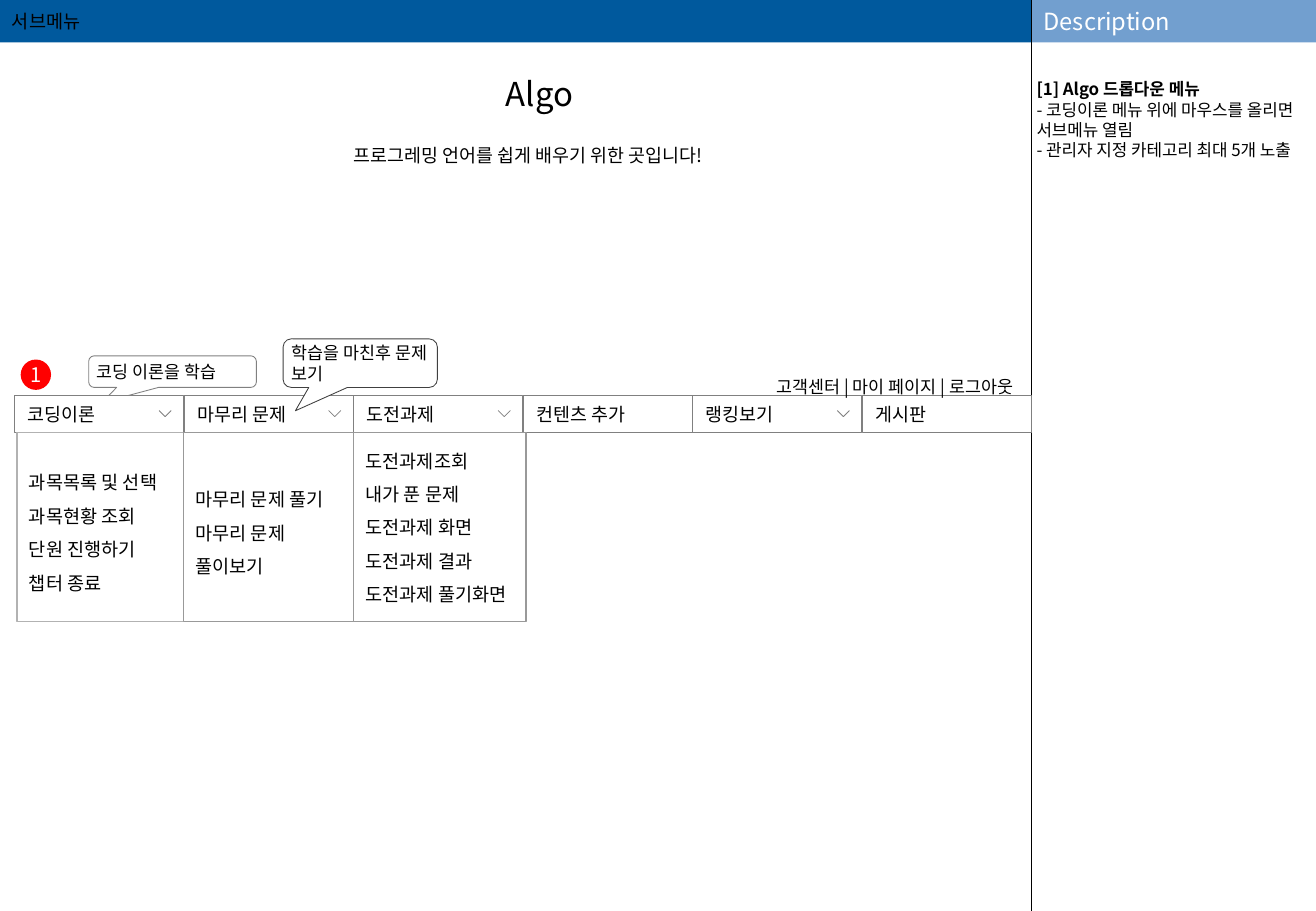
"""Build the submenu screen plan with its description panel."""
import pptx
import pptx.dml.color
import pptx.enum.shapes
import pptx.enum.text
import pptx.oxml.ns
import pptx.util
from lxml import etree

Inches = pptx.util.Inches
Kind = pptx.enum.shapes.MSO_SHAPE
Align = pptx.enum.text.PP_ALIGN
Anchor = pptx.enum.text.MSO_ANCHOR
FONT = "Noto Sans CJK KR"


def color(code):
    return pptx.dml.color.RGBColor.from_string(code)


def box(area, lines, size, kind=Kind.RECTANGLE, fill=None, line=None, width=0.5,
        ins=(0.1, 0.05, 0.1, 0.05), anchor=Anchor.MIDDLE, align=Align.LEFT,
        space=1.0, ink="000000", bold=()):
    place = [Inches(v) for v in area]
    if fill:
        shape = slide.shapes.add_shape(kind, *place)
        shape.shadow.inherit = False
        shape.fill.solid()
        shape.fill.fore_color.rgb = color(fill)
        if line:
            shape.line.color.rgb = color(line)
            shape.line.width = pptx.util.Pt(width)
        else:
            shape.line.fill.background()
    else:
        shape = slide.shapes.add_textbox(*place)
    frame = shape.text_frame
    frame.word_wrap = True
    frame.vertical_anchor = anchor
    frame.margin_left, frame.margin_top, frame.margin_right, frame.margin_bottom = [
        Inches(v) for v in ins]
    for i, text in enumerate(lines):
        para = frame.paragraphs[0] if i == 0 else frame.add_paragraph()
        para.alignment = align
        para.line_spacing = space
        run = para.add_run()
        run.text = text
        run.font.size = pptx.util.Pt(size)
        run.font.name = FONT
        run.font.bold = i in bold
        run.font.color.rgb = color(ink)
        east = etree.SubElement(run.font._element, pptx.oxml.ns.qn("a:ea"))
        east.set("typeface", FONT)
    return shape


deck = pptx.Presentation()
deck.slide_width = Inches(10.83)
deck.slide_height = Inches(7.5)
slide = deck.slides.add_slide(deck.slide_layouts[6])

split, head = 8.49, 0.35
box((0, 0, split, head), ["서브메뉴"], 11, fill="00599D")
box((split, 0, 2.34, head), ["Description"], 14, fill="729FCF", ink="FFFFFF")
box((split, 0.65, 2.34, 6.84),
    ["[1] Algo 드롭다운 메뉴",
     "- 코딩이론 메뉴 위에 마우스를 올리면 서브메뉴 열림",
     "- 관리자 지정 카테고리 최대 5개 노출"],
    10, ins=(0.04, 0, 0.04, 0), anchor=Anchor.TOP, bold=(0,))

box((3.09, 0.56, 2.7, 0.42), ["Algo"], 19.5, anchor=Anchor.TOP, align=Align.CENTER)
box((2.81, 1.14, 3.36, 0.28), ["프로그레밍 언어를 쉽게 배우기 위한 곳입니다!"], 10.9,
    anchor=Anchor.TOP)

rule = slide.shapes.add_connector(
    pptx.enum.shapes.MSO_CONNECTOR.STRAIGHT,
    Inches(split), Inches(0), Inches(split), Inches(7.5))
rule.line.color.rgb = color("000000")
rule.line.width = pptx.util.Pt(0.5)
etree.SubElement(rule._element.spPr, pptx.oxml.ns.qn("a:effectLst"))

tips = [((0.73, 2.93, 1.38, 0.26), "코딩 이론을 학습", "808080"),
        ((2.33, 2.79, 1.27, 0.4), "학습을 마친후 문제 보기", "404040")]
menus = [("코딩이론", True), ("마무리 문제", True), ("도전과제", True),
         ("컨텐츠 추가", False), ("랭킹보기", True), ("게시판", False)]
top, wide, step = 3.26, 1.39, 1.395

for turn, (area, text, edge) in enumerate(tips):
    if turn == 1:
        for i, (name, drops) in enumerate(menus):
            left = 0.12 + i * step
            box((left, top, wide, 0.3), [name], 10.9, fill="FFFFFF", line="808080",
                ins=(0.11, 0.05, 0.22, 0.05))
            if drops:
                pen = slide.shapes.build_freeform(
                    Inches(left + 1.19), Inches(top + 0.12))
                pen.add_line_segments(
                    [(Inches(left + 1.24), Inches(top + 0.17)),
                     (Inches(left + 1.29), Inches(top + 0.12))], close=False)
                arrow = pen.convert_to_shape()
                arrow.shadow.inherit = False
                arrow.fill.solid()
                arrow.fill.fore_color.rgb = color("FFFFFF")
                arrow.line.color.rgb = color("808080")
                arrow.line.width = pptx.util.Pt(0.5)
    tip = box(area, [text], 10.3, kind=Kind.ROUNDED_RECTANGULAR_CALLOUT,
              fill="FFFFFF", line=edge, ins=(0.05,) * 4)
    for i, value in enumerate((-0.42, 0.98, 0.17)):
        tip.adjustments[i] = value

box((0.17, 2.96, 0.25, 0.25), ["1"], 11.9, kind=Kind.OVAL, fill="FF0000",
    ins=(0,) * 4, align=Align.CENTER, ink="FFFFFF")
box((3.7, 2.96, 4.74, 0.27), ["고객센터 | 마이 페이지 | 로그아웃"], 10.3,
    anchor=Anchor.TOP, align=Align.RIGHT, space=1.5)

lists = [
    (0.14, 1.37, "B2B2B2", Anchor.MIDDLE,
     ["과목목록 및 선택", "과목현황 조회", "단원 진행하기", "챕터 종료"]),
    (1.51, 1.4, "999999", Anchor.MIDDLE, ["마무리 문제 풀기", "마무리 문제 풀이보기"]),
    (2.91, 1.42, "999999", Anchor.TOP,
     ["도전과제조회", "내가 푼 문제", "도전과제 화면", "도전과제 결과", "도전과제 풀기화면"]),
]
for left, span, edge, anchor, items in lists:
    box((left, 3.56, span, 1.56), items, 11, fill="FFFFFF", line=edge, width=0.75,
        anchor=anchor, space=1.5)

deck.save("out.pptx")
